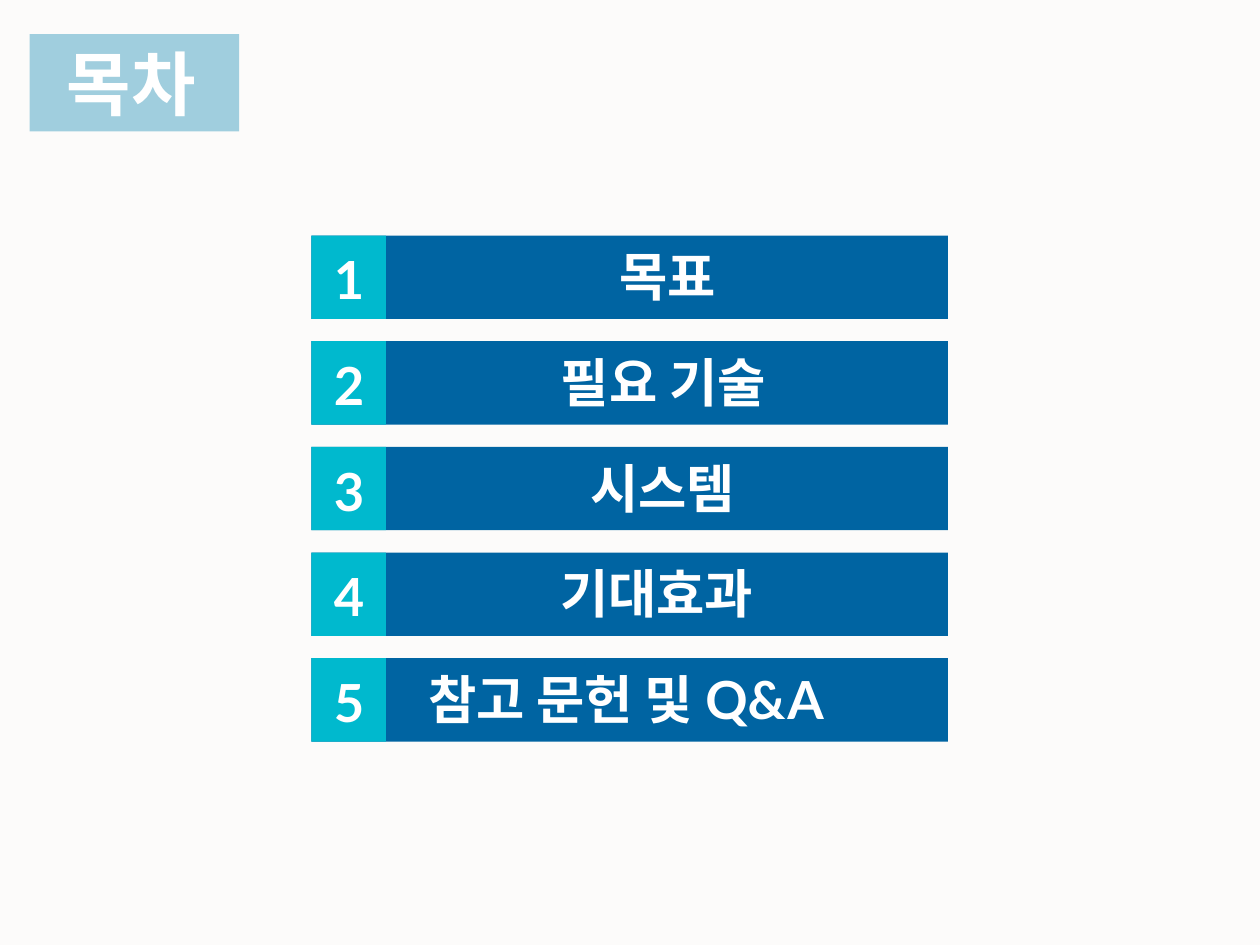
from pptx import Presentation
from pptx.dml.color import RGBColor
from pptx.enum.shapes import MSO_SHAPE
from pptx.util import Cm, Pt

# Content: label and its indent in cm
TITLE = "목차"
SECTIONS = [
    ("목표", 3.85),
    ("필요 기술", 2.68),
    ("시스템", 3.27),
    ("기대효과", 2.66),
    ("참고 문헌 및 Q&A", 0),
]

THEME = {
    "font": "Lato",
    "background": "FCFBFA",
    "title_panel": "A0CEDE",
    "bar": "0064A2",
    "number_panel": "00B9CE",
    "text": "FFFFFF",
    "title_size": 40,
    "section_size": 30,
}

# Layout in cm
BAR_LEFT, BAR_TOP = 6.28, 4.75
BAR_WIDTH, BAR_HEIGHT = 12.83, 1.68
ROW_PITCH = 2.13
NUMBER_WIDTH = 1.5
TEXT_HEIGHT = 1.54


def color(name):
    return RGBColor.from_string(THEME[name])


def add_panel(page, left, top, width, height, fill):
    panel = page.shapes.add_shape(
        MSO_SHAPE.RECTANGLE, Cm(left), Cm(top), Cm(width), Cm(height))
    panel.shadow.inherit = False
    panel.fill.solid()
    panel.fill.fore_color.rgb = color(fill)
    panel.line.fill.background()


def add_text(page, text, left, top, width, height=TEXT_HEIGHT,
             size="section_size", indent=0):
    box = page.shapes.add_textbox(Cm(left), Cm(top), Cm(width), Cm(height))
    box.text_frame.word_wrap = True
    para = box.text_frame.paragraphs[0]
    if indent:
        properties = para._p.get_or_add_pPr()
        properties.set("marL", str(Cm(indent)))
        properties.set("indent", "0")
    span = para.add_run()
    span.text = text
    span.font.name = THEME["font"]
    span.font.size = Pt(THEME[size])
    span.font.bold = True
    span.font.color.rgb = color("text")


def main():
    deck = Presentation()
    deck.slide_width, deck.slide_height = Cm(25.4), Cm(19.05)
    page = deck.slides.add_slide(deck.slide_layouts[6])
    page.background.fill.solid()
    page.background.fill.fore_color.rgb = color("background")

    # Title
    add_panel(page, 0.6, 0.69, 4.22, 1.96, "title_panel")
    add_text(page, TITLE, 1.1, 0.69, 3.5, 1.96, size="title_size")

    # Numbered section bars
    for row, (label, indent) in enumerate(SECTIONS):
        top = BAR_TOP + row * ROW_PITCH
        add_panel(page, BAR_LEFT, top, BAR_WIDTH, BAR_HEIGHT, "bar")
        add_text(page, label, BAR_LEFT + 2.1, top + 0.05, 10.6, indent=indent)
        add_panel(page, BAR_LEFT, top, NUMBER_WIDTH, BAR_HEIGHT, "number_panel")
        add_text(page, str(row + 1), BAR_LEFT + 0.2, top + 0.11, 1.07)

    deck.save("out.pptx")


if __name__ == "__main__":
    main()
